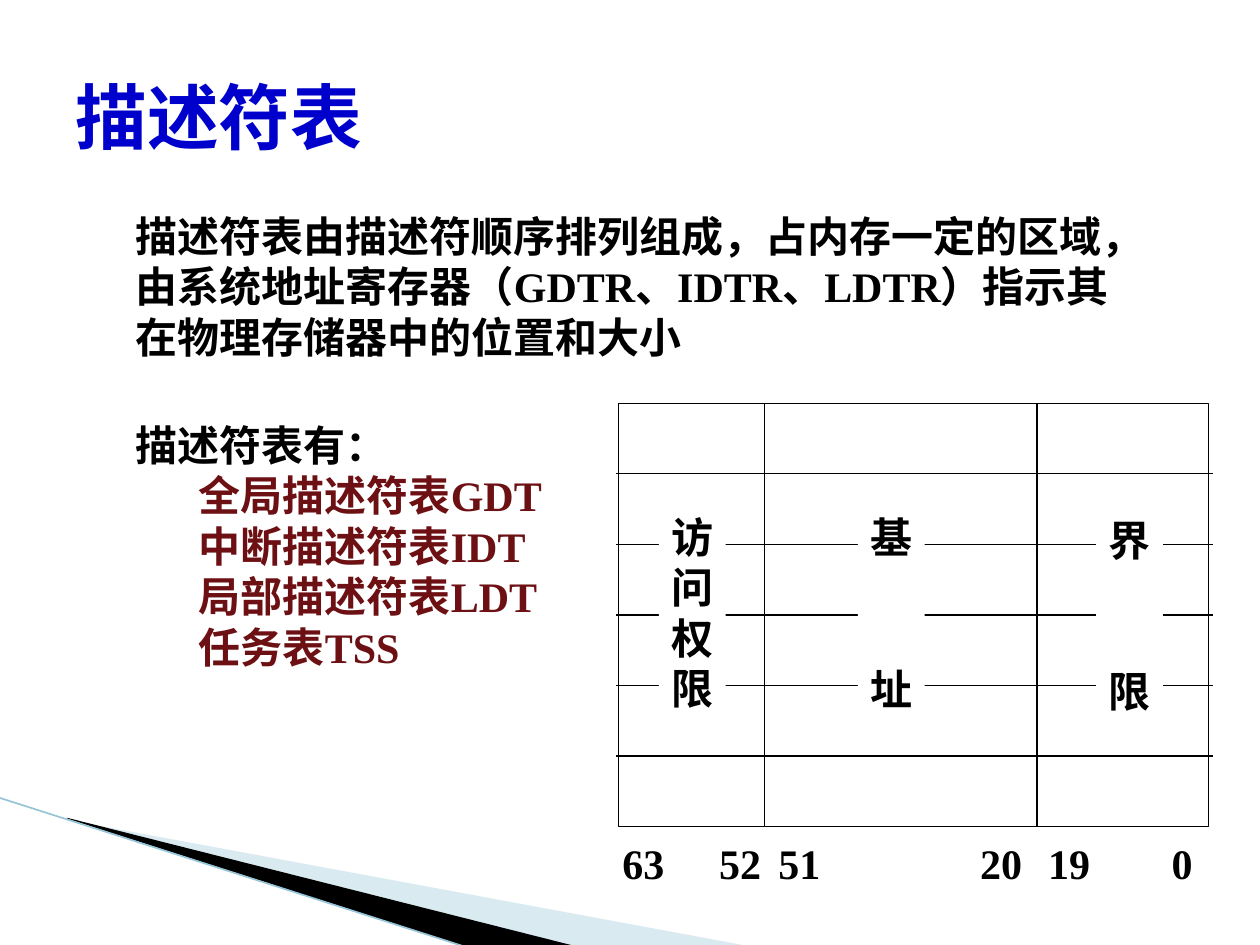
from lxml import etree
from pptx import Presentation
from pptx import util as u
from pptx.dml.color import RGBColor
from pptx.enum import shapes, text
from pptx.oxml.ns import qn

COLORS = {
    "ink": "000000",
    "title": "0000CC",
    "list": "6D1014",
    "paper": "FFFFFF",
    "pale": "A0CBDC",
    "edge": "97C5D8",
}
FONT = "Times New Roman"


def rgb(name):
    return RGBColor.from_string(COLORS[name])


class SlideBuilder:
    def __init__(self, slide, size=24, line_width=0.75):
        self.s = slide
        self.size = size
        self.line_width = line_width

    def line(self, x1, y1, x2, y2, color="ink", width=None):
        sp = self.s.shapes.add_connector(
            shapes.MSO_CONNECTOR.STRAIGHT, *map(u.Inches, (x1, y1, x2, y2)))
        sp.line.color.rgb = rgb(color)
        sp.line.width = u.Pt(width or self.line_width)
        etree.SubElement(sp.element.spPr, qn("a:effectLst"))

    def polygon(self, points, color, alpha=None):
        points = [(u.Inches(x), u.Inches(y)) for x, y in points]
        fb = self.s.shapes.build_freeform(*points[0])
        fb.add_line_segments(points[1:], close=True)
        sp = fb.convert_to_shape()
        sp.shadow.inherit = False
        sp.fill.solid()
        sp.fill.fore_color.rgb = rgb(color)
        sp.line.fill.background()
        if alpha:
            fill = sp.element.spPr.find(qn("a:solidFill"))
            etree.SubElement(fill[0], qn("a:alpha"), val=str(alpha * 1000))

    def rect(self, x, y, w, h, fill=None, line=None):
        sp = self.s.shapes.add_shape(
            shapes.MSO_SHAPE.RECTANGLE, *map(u.Inches, (x, y, w, h)))
        sp.shadow.inherit = False
        if fill:
            sp.fill.solid()
            sp.fill.fore_color.rgb = rgb(fill)
        else:
            sp.fill.background()
        if line:
            sp.line.color.rgb = rgb(line)
            sp.line.width = u.Pt(self.line_width)
        else:
            sp.line.fill.background()
        return sp

    def set_text(self, sp, lines, color="ink", size=None, wrap=True, gap=0):
        tf = sp.text_frame
        tf.word_wrap = wrap
        tf.vertical_anchor = text.MSO_ANCHOR.TOP
        for i, content in enumerate(lines):
            p = tf.add_paragraph() if i else tf.paragraphs[0]
            p.text = content
            p.alignment = text.PP_ALIGN.LEFT
            p.font.name = FONT
            p.font.size = u.Pt(size or self.size)
            p.font.bold = True
            p.font.color.rgb = rgb(color)
            if i and gap:
                p.space_before = u.Pt(gap)
        return tf

    def textbox(self, x, y, w, h, lines, **style):
        sp = self.s.shapes.add_textbox(*map(u.Inches, (x, y, w, h)))
        return self.set_text(sp, lines, **style)

    def column_label(self, x, y, lines, gap=0):
        sp = self.rect(x, y, 0.53, 2.5, fill="paper")
        tf = self.set_text(sp, lines, wrap=False, gap=gap)
        tf.margin_top = u.Inches(0.45)


def main():
    prs = Presentation()
    prs.slide_width, prs.slide_height = u.Inches(10), u.Inches(7.5)
    b = SlideBuilder(prs.slides.add_slide(prs.slide_layouts[6]))

    b.polygon([(0.55, 6.51), (5.95, 7.51), (4.56, 7.51), (0.55, 6.5)], "pale", 40)
    b.polygon([(0.53, 6.49), (4.57, 7.51), (3.72, 7.52), (0.54, 6.5)], "ink")
    b.line(-0.01, 6.33, 3.71, 7.52, "edge", 0.95)

    b.textbox(0.98, 1.62, 8.02, 1.3, [
        "描述符表由描述符顺序排列组成，占内存一定的区域，"
        "由系统地址寄存器（GDTR、IDTR、LDTR）指示其在物理存储器中的位置和大小"])
    tf = b.textbox(0.98, 3.28, 3.47, 2.12, [
        "描述符表有：", "全局描述符表GDT", "中断描述符表IDT",
        "局部描述符表LDT", "任务表TSS"])
    for p in tf.paragraphs[1:]:
        p.level = 1
        p.font.color.rgb = rgb("list")
        pPr = p._p.get_or_add_pPr()
        pPr.set("marL", str(u.Inches(0.5)))
        pPr.set("indent", "0")
    tf = b.textbox(0.5, 0.3, 9, 1.24, ["描述符表"], color="title", size=41)
    tf.vertical_anchor = text.MSO_ANCHOR.MIDDLE

    left, top, width, height = 4.91, 3.2, 4.68, 3.36
    row_lines = [top + height / 6 * i for i in range(1, 6)]
    for y in row_lines[1:4]:
        b.line(4.89, y, 9.63, y)
    b.rect(left, top, width, height, line="ink")
    for x in (6.07, 8.23):
        b.line(x, top, x, top + height)
    b.column_label(5.23, 3.61, "访问权限")
    b.column_label(6.81, 3.61, "基址", gap=58)
    b.column_label(8.7, 3.63, "界限", gap=58)
    for y in (row_lines[0], row_lines[-1]):
        b.line(4.89, y, 9.63, y)

    bits = {"0": 9.2, "19": 8.22, "20": 7.68, "51": 6.08, "52": 5.61, "63": 4.84}
    for bit, x in bits.items():
        b.textbox(x, 6.6, 0.2 + len(bit) / 6, 0.5, [bit], wrap=False)

    prs.save("out.pptx")


if __name__ == "__main__":
    main()
